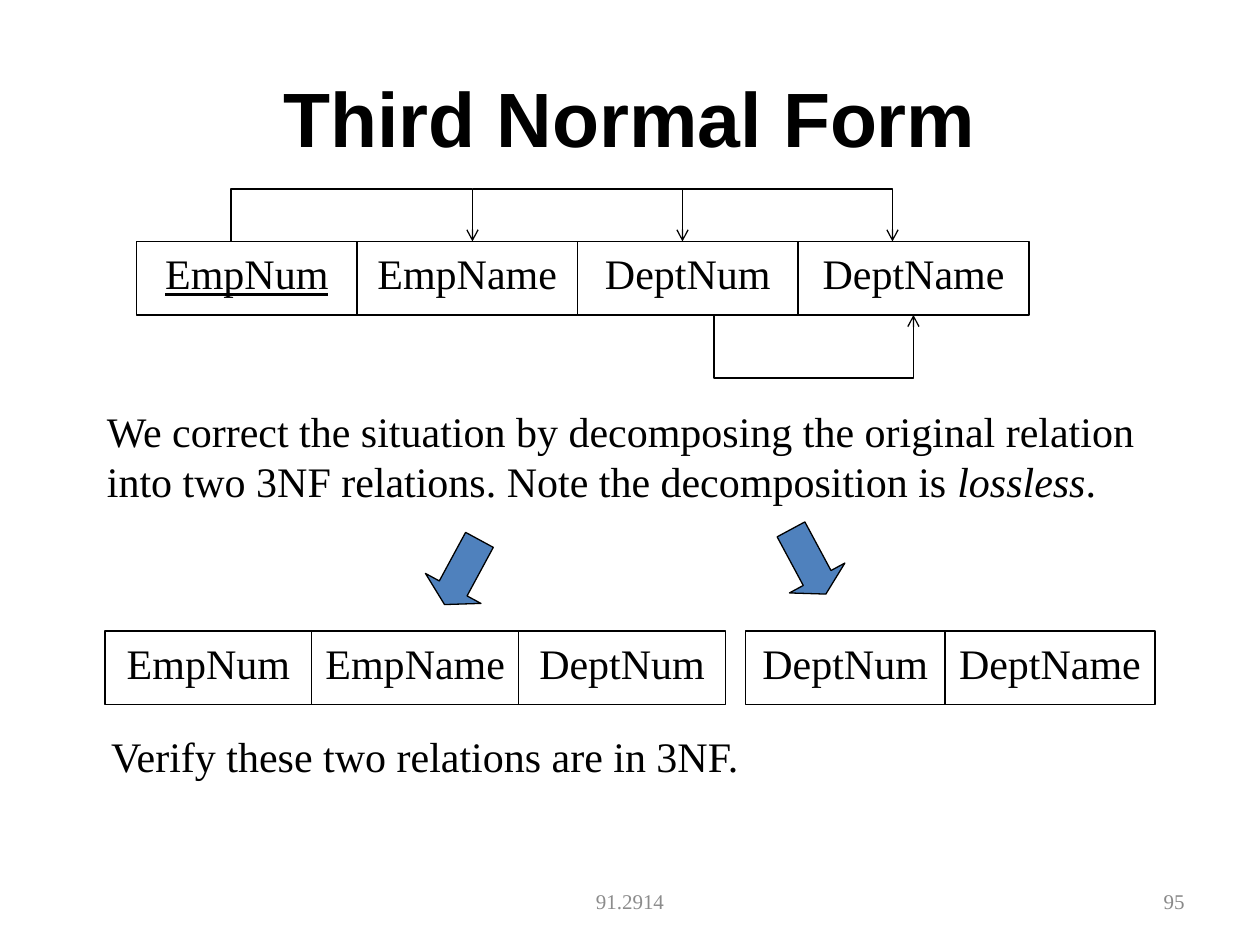
from lxml.etree import SubElement
from pptx import Presentation
from pptx.dml.color import RGBColor
from pptx.enum.shapes import MSO_SHAPE as Preset
from pptx.enum.text import MSO_ANCHOR as Anchor, PP_ALIGN as Align
from pptx.oxml.ns import qn
from pptx.util import Pt

PX = 7620  # EMU per px, 120 px to the inch
SERIF = "Times New Roman"


def px(*lengths):
    return [length * PX for length in lengths]


def color(hex_string):
    return RGBColor.from_string(hex_string)


def set_font(paragraph, size, name=SERIF, hex_string="000000"):
    font = paragraph.font
    font.size, font.name = Pt(size), name
    font.color.rgb = color(hex_string)


def outline(shape):
    shape.shadow.inherit = False
    shape.line.color.rgb = color("000000")
    shape.line.width = Pt(0.75)


def add_title(slide, box, text):
    title = slide.shapes.title
    title.left, title.top, title.width, title.height = px(*box)
    title.text_frame.vertical_anchor = Anchor.MIDDLE
    paragraph = title.text_frame.paragraphs[0]
    paragraph.text = text
    paragraph.alignment = Align.CENTER
    set_font(paragraph, 44, "Arial")
    paragraph.font.bold = True


def add_text(slide, box, parts, size=24, hex_string="000000",
             align=Align.LEFT, anchor=Anchor.TOP):
    """Place one paragraph; parts are (text, italic) pairs."""
    frame = slide.shapes.add_textbox(*px(*box)).text_frame
    frame.word_wrap = True
    frame.vertical_anchor = anchor
    paragraph = frame.paragraphs[0]
    paragraph.alignment = align
    set_font(paragraph, size, hex_string=hex_string)
    for text, italic in parts:
        run = paragraph.add_run()
        run.text = text
        if italic:
            run.font.italic = True


def add_relation(slide, left, top, columns, key=None):
    """Draw a row of attribute boxes from (name, width) pairs."""
    for name, width in columns:
        cell = slide.shapes.add_shape(Preset.RECTANGLE, *px(left, top, width, 70))
        outline(cell)
        cell.fill.solid()
        cell.fill.fore_color.rgb = color("FFFFFF")
        frame = cell.text_frame
        frame.word_wrap = False
        frame.vertical_anchor = Anchor.TOP
        paragraph = frame.paragraphs[0]
        paragraph.text = name
        paragraph.alignment = Align.CENTER
        set_font(paragraph, 24)
        if name == key:
            paragraph.font.underline = True
        left += width


def add_dependency(slide, left, top, points):
    """Draw a bent line with an open arrowhead at its last point."""
    start, *rest = [(left + x, top + y) for x, y in points]
    builder = slide.shapes.build_freeform(*start, scale=PX)
    builder.add_line_segments(rest, close=False)
    shape = builder.convert_to_shape()
    shape.fill.background()
    outline(shape)
    SubElement(shape.line._get_or_add_ln(), qn("a:tailEnd"), type="arrow")


def add_employee_relation(slide, left, top):
    columns = [("EmpNum", 210), ("EmpName", 210), ("DeptNum", 210), ("DeptName", 220)]
    add_relation(slide, left, top, columns, key="EmpNum")
    # Key determines every other attribute
    add_dependency(slide, left, top, [(90, 0), (90, -50), (320, -50), (320, 0)])
    for x in (320, 520):
        add_dependency(slide, left, top, [(x, -50), (x + 200, -50), (x + 200, 0)])
    # DeptNum determines DeptName
    add_dependency(slide, left, top, [(550, 70), (550, 130), (740, 130), (740, 70)])


def add_block_arrow(slide, left, top, rotation):
    arrow = slide.shapes.add_shape(Preset.DOWN_ARROW, *px(left, top, 60, 70))
    arrow.adjustments[0], arrow.adjustments[1] = 0.5, 0.29
    arrow.rotation = rotation
    outline(arrow)
    arrow.fill.solid()
    arrow.fill.fore_color.rgb = color("4F81BD")


def add_decomposition(slide, left, top):
    add_block_arrow(slide, left + 310, top - 91, 28.4)
    add_block_arrow(slide, left + 640, top - 101, 331.7)
    add_relation(slide, left, top,
                 [(name, 197) for name in ("EmpNum", "EmpName", "DeptNum")])
    add_relation(slide, left + 610, top, [("DeptNum", 190), ("DeptName", 200)])


def main():
    presentation = Presentation()
    presentation.slide_width, presentation.slide_height = px(1200, 900)
    slide = presentation.slides.add_slide(presentation.slide_layouts[5])

    add_title(slide, (60, 36, 1080, 150), "Third Normal Form")
    add_employee_relation(slide, 130, 230)
    add_text(slide, (90, 380, 1040, 108), [
        ("We correct the situation by decomposing the original relation into "
         "two 3NF relations. Note the decomposition is ", False),
        ("lossless", True),
        (".", False),
    ])
    add_decomposition(slide, 100, 601)
    add_text(slide, (94, 690, 780, 61), [("Verify these two relations are in 3NF.", False)])

    # Footer and slide number
    add_text(slide, (410, 834, 380, 48), [("91.2914", False)], 12, "8C8C8C",
             Align.CENTER, Anchor.MIDDLE)
    add_text(slide, (860, 834, 280, 48), [("95", False)], 12, "898989",
             Align.RIGHT, Anchor.MIDDLE)
    presentation.save("out.pptx")


if __name__ == "__main__":
    main()
